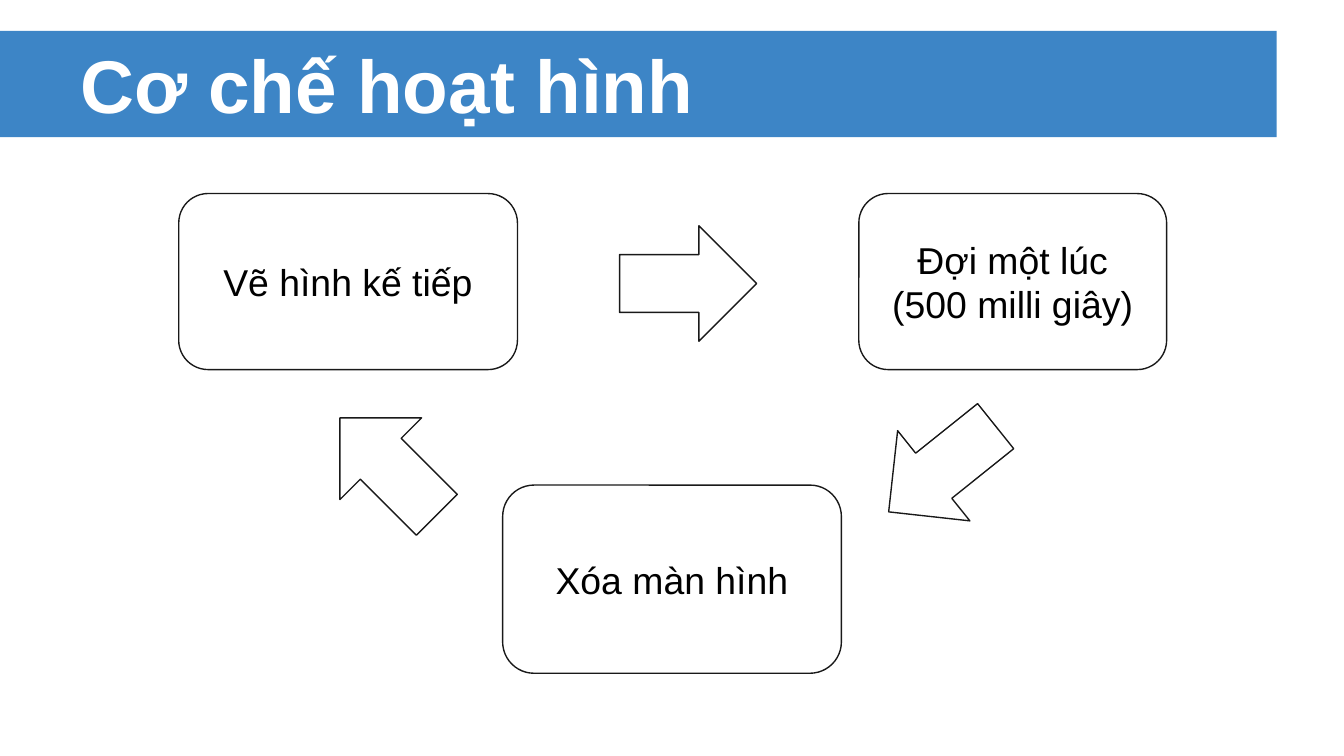
from pptx import Presentation
from pptx import util as u
from pptx.dml.color import RGBColor
from pptx.enum import shapes, text

WIDTH = 10
HEIGHT = WIDTH * 9 / 16
TITLE = ["Cơ chế hoạt hình"]
BAND_TOP, BAND_HEIGHT = 0.23, 0.79
# Lines of a step, then left, top, width, height in inches
STEPS = [
    (["Vẽ hình kế tiếp"], (1.33, 1.44, 2.52, 1.31)),
    (["Đợi một lúc", "(500 milli giây)"], (6.39, 1.44, 2.29, 1.31)),
    (["Xóa màn hình"], (3.74, 3.61, 2.52, 1.4)),
]
# Arrow left, top and rotation in degrees
ARROWS = [(4.61, 1.68, 0), (6.5, 3.06, 141.3), (2.38, 3.04, 225)]
ARROW_SIZE = (1.02, 0.86)

TITLE_FONT = {"name": "Arial", "size": u.Pt(40), "bold": True}
STEP_FONT = {"name": "Arial", "size": u.Pt(20)}
FRAME = {
    "word_wrap": True,
    "auto_size": text.MSO_AUTO_SIZE.NONE,
    "vertical_anchor": text.MSO_ANCHOR.MIDDLE,
    **{f"margin_{side}": u.Inches(0.1) for side in ("left", "right", "top", "bottom")},
}


def color(value):
    return RGBColor.from_string(value)


def apply(target, values):
    for name, value in values.items():
        setattr(target, name, value)


def write(shape, lines, font, ink, align):
    """Fill one paragraph, with a line break between lines."""
    apply(shape.text_frame, FRAME)
    para = shape.text_frame.paragraphs[0]
    para.alignment = align
    for index, line in enumerate(lines):
        if index:
            para.add_line_break()
        span = para.add_run()
        span.text = line
        apply(span.font, font)
        span.font.color.rgb = color(ink)


def add_shape(page, kind, place, fill=None, line=None):
    shape = page.shapes.add_shape(kind, *map(u.Inches, place))
    shape.shadow.inherit = False
    if fill:
        shape.fill.solid()
        shape.fill.fore_color.rgb = color(fill)
    else:
        shape.fill.background()
    if line:
        shape.line.color.rgb = color(line)
        shape.line.width = u.Pt(0.75)
    else:
        shape.line.fill.background()
    return shape


def add_title(page):
    """Put the title placeholder in front of a coloured band."""
    add_shape(page, shapes.MSO_SHAPE.RECTANGLE,
              (0, BAND_TOP, 0.95 * WIDTH, BAND_HEIGHT), fill="3D85C6")
    title = page.shapes.title
    place = (0.05 * WIDTH, BAND_TOP, 0.9 * WIDTH, BAND_HEIGHT)
    apply(title, dict(zip(("left", "top", "width", "height"), map(u.Inches, place))))
    write(title, TITLE, TITLE_FONT, "FFFFFF", text.PP_ALIGN.LEFT)
    page.shapes._spTree.append(title._element)


def main():
    deck = Presentation()
    deck.slide_width, deck.slide_height = u.Inches(WIDTH), u.Inches(HEIGHT)
    page = deck.slides.add_slide(deck.slide_layouts[5])
    add_title(page)
    for lines, place in STEPS:
        box = add_shape(page, shapes.MSO_SHAPE.ROUNDED_RECTANGLE, place, line="191919")
        write(box, lines, STEP_FONT, "000000", text.PP_ALIGN.CENTER)
    for left, top, angle in ARROWS:
        arrow = add_shape(page, shapes.MSO_SHAPE.RIGHT_ARROW,
                          (left, top, *ARROW_SIZE), line="191919")
        arrow.rotation = angle
    deck.save("out.pptx")


if __name__ == "__main__":
    main()
